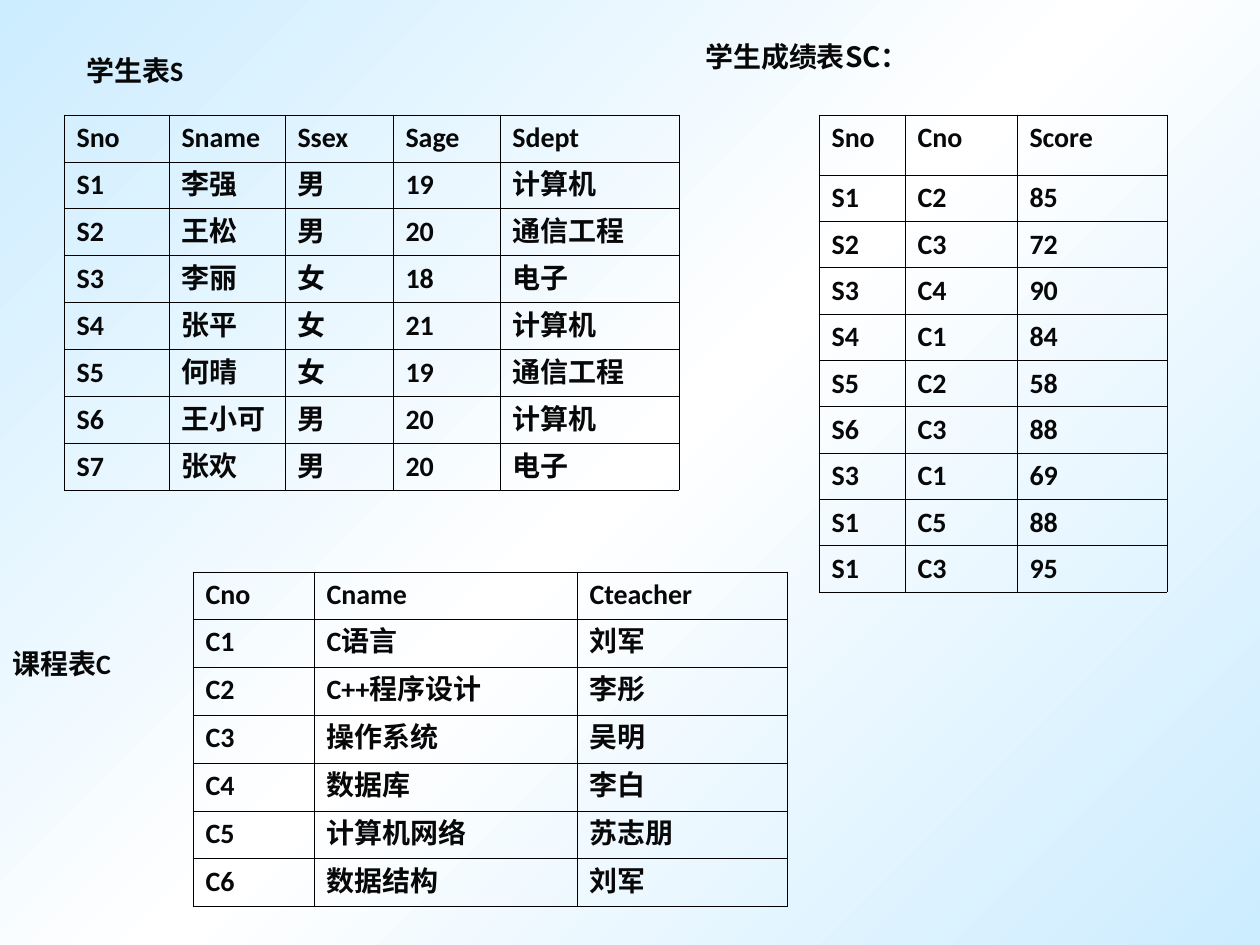
from copy import deepcopy

from pptx import Presentation
from pptx.dml.color import RGBColor
from pptx.enum.text import MSO_ANCHOR, PP_ALIGN
from pptx.oxml import parse_xml
from pptx.oxml.ns import nsdecls
from pptx.util import Emu, Pt

INK = RGBColor(0x08, 0x08, 0x08)
BORDER = RGBColor(0x00, 0x00, 0x00)
SKY = RGBColor(0xCC, 0xEC, 0xFF)
WHITE = RGBColor(0xFF, 0xFF, 0xFF)
LATIN, CJK = "Calibri", "Noto Sans CJK SC"
BORDER_PT = 0.45

STUDENTS = [
    ("Sno", "Sname", "Ssex", "Sage", "Sdept"),
    ("S1", "李强", "男", "19", "计算机"),
    ("S2", "王松", "男", "20", "通信工程"),
    ("S3", "李丽", "女", "18", "电子"),
    ("S4", "张平", "女", "21", "计算机"),
    ("S5", "何晴", "女", "19", "通信工程"),
    ("S6", "王小可", "男", "20", "计算机"),
    ("S7", "张欢", "男", "20", "电子"),
]
SCORES = [
    ("Sno", "Cno", "Score"),
    ("S1", "C2", "85"),
    ("S2", "C3", "72"),
    ("S3", "C4", "90"),
    ("S4", "C1", "84"),
    ("S5", "C2", "58"),
    ("S6", "C3", "88"),
    ("S3", "C1", "69"),
    ("S1", "C5", "88"),
    ("S1", "C3", "95"),
]
COURSES = [
    ("Cno", "Cname", "Cteacher"),
    ("C1", "C语言", "刘军"),
    ("C2", "C++程序设计", "李彤"),
    ("C3", "操作系统", "吴明"),
    ("C4", "数据库", "李白"),
    ("C5", "计算机网络", "苏志朋"),
    ("C6", "数据结构", "刘军"),
]


def px(n):
    """Turn px into EMU at 126 px to the inch."""
    return Emu(round(n * 914400 / 126))


def write(tf, text, font=LATIN):
    """Put one bold run into a text frame."""
    p = tf.paragraphs[0]
    p.alignment = PP_ALIGN.LEFT
    r = p.add_run()
    r.text = text
    for name, value in {"size": Pt(16), "bold": True, "name": font}.items():
        setattr(r.font, name, value)
    r.font.color.rgb = INK
    r.font._element.append(parse_xml(f'<a:ea {nsdecls("a")} typeface="{font}"/>'))


def add_label(s, box, text, font=LATIN):
    """Add a one-line caption in its box."""
    tf = s.shapes.add_textbox(*map(px, box)).text_frame
    for name, value in {"word_wrap": True, "vertical_anchor": MSO_ANCHOR.MIDDLE}.items():
        setattr(tf, name, value)
    write(tf, text, font)


def style_cell(cell):
    """Give a cell thin borders on all sides and no fill."""
    tc_pr = cell._tc.get_or_add_tcPr()
    for side in "LRTB":
        tc_pr.append(parse_xml(
            f'<a:ln{side} {nsdecls("a")} w="{Pt(BORDER_PT)}"><a:solidFill>'
            f'<a:srgbClr val="{BORDER}"/></a:solidFill></a:ln{side}>'))
    cell.fill.background()


def add_grid(s, box, rows, widths, header):
    """Fill a box with a table: a header row, then equal body rows."""
    left, top, height = box
    frame = s.shapes.add_table(len(rows), len(widths), px(left), px(top),
                               px(sum(widths)), px(height))
    table = frame.table
    for name in ("first_row", "horz_banding"):
        setattr(table, name, False)
    for col, width in zip(table.columns, widths):
        col.width = px(width)
    body = (height - header) / (len(rows) - 1)
    for i, (row, values) in enumerate(zip(table.rows, rows)):
        row.height = px(body if i else header)
        for cell, value in zip(row.cells, values):
            style_cell(cell)
            write(cell.text_frame, value)


def set_background(s):
    """Paint a diagonal sky-white-sky gradient."""
    fill = s.background.fill
    fill.gradient()
    fill.gradient_angle = 315
    stops = s._element.xpath(".//a:gsLst")[0]
    stops.append(deepcopy(stops[0]))
    for stop, color, position in zip(fill.gradient_stops, (SKY, WHITE, SKY), (0, 0.5, 1)):
        stop.color.rgb = color
        stop.position = position


def main():
    """Build the slide with the three relations."""
    prs = Presentation()
    prs.slide_width, prs.slide_height = px(1260), px(945)
    s = prs.slides.add_slide(prs.slide_layouts[6])
    set_background(s)
    add_grid(s, (64, 115, 371), STUDENTS, (105, 116, 108, 107, 179), 46)
    add_label(s, (74, 47, 427, 47), "学生表S")
    add_grid(s, (819, 115, 477), SCORES, (86, 112, 150), 60)
    add_grid(s, (193, 572, 335), COURSES, (121, 263, 210), 47)
    add_label(s, (0, 640, 178, 47), "课程表C")
    add_label(s, (693, 33, 334, 47), "学生成绩表SC：", CJK)
    prs.save("out.pptx")


if __name__ == "__main__":
    main()
